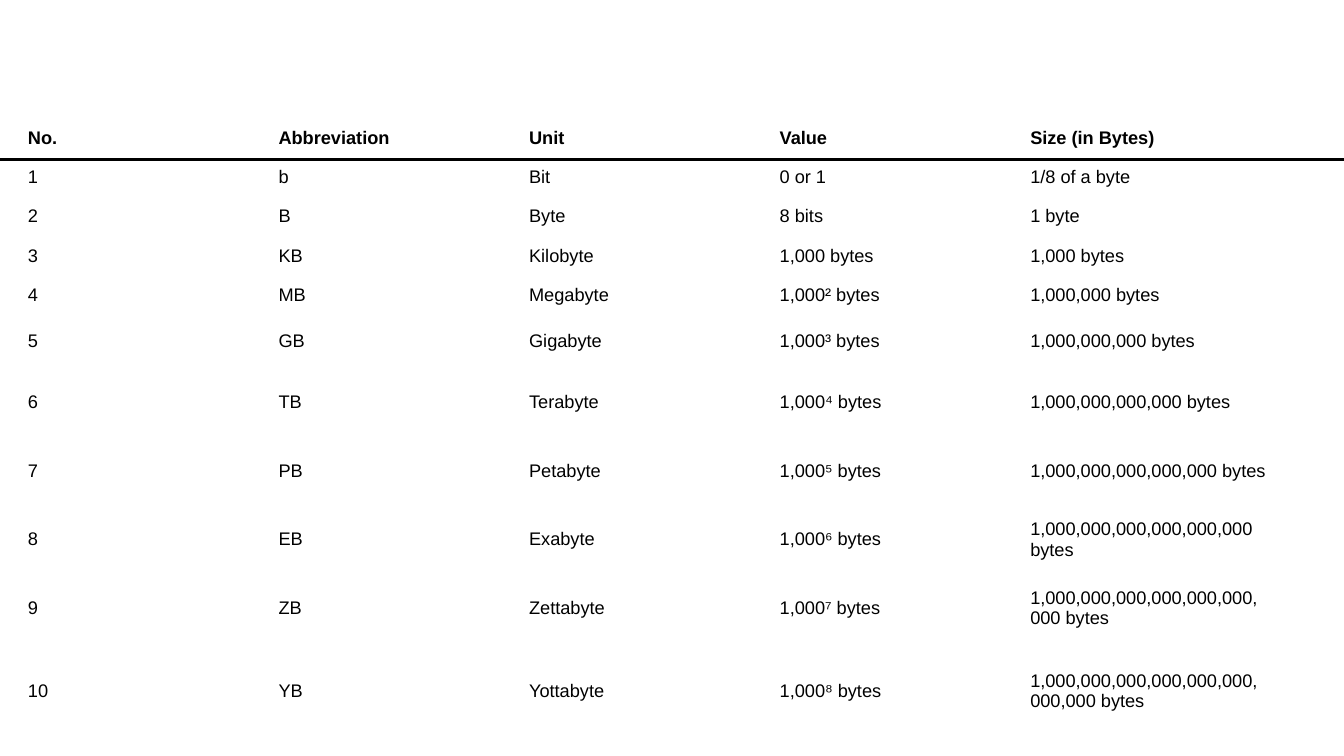
from pptx import Presentation
from pptx.dml.color import RGBColor
from pptx.enum.shapes import MSO_SHAPE
from pptx.enum.text import MSO_ANCHOR
from pptx.util import Pt

BLACK = RGBColor(0, 0, 0)
RECT = MSO_SHAPE.RECTANGLE
MIDDLE = MSO_ANCHOR.MIDDLE

HEAD = ["No.", "Abbreviation", "Unit", "Value", "Size (in Bytes)"]
SMALL = [
    ["1", "b", "Bit", "0 or 1", "1/8 of a byte"],
    ["2", "B", "Byte", "8 bits", "1 byte"],
]
UNITS = ["Kilobyte", "Megabyte", "Gigabyte", "Terabyte",
         "Petabyte", "Exabyte", "Zettabyte", "Yottabyte"]
POWERS = ["", "²", "³", "⁴", "⁵", "⁶", "⁷", "⁸"]
HEIGHTS = [27.9] * 5 + [38] + [49.2] * 4 + [69.5]
WIDTH = 179


def write(frame, text, font="Arial", size=13, color=BLACK, bold=False):
    run = frame.paragraphs[0].add_run()
    run.text = text
    run.font.name = font
    run.font.size = Pt(size)
    run.font.color.rgb = color
    run.font.bold = bold


class Page:
    """Hold the table style and the slide being built."""

    def __init__(self, slide, pad_x=5, pad_y=2.6):
        self.slide = slide
        self.pad_x = Pt(pad_x)
        self.pad_y = Pt(pad_y)

    def table(self, left, top, rows, width, heights):
        count = len(rows[0])
        table = self.slide.shapes.add_table(
            len(rows), count, Pt(left), Pt(top),
            Pt(width * count), Pt(sum(heights))).table
        table.first_row = False
        table.horz_banding = False
        for col in table.columns:
            col.width = Pt(width)
        for i, (row, height) in enumerate(zip(rows, heights)):
            table.rows[i].height = Pt(height)
            for j, text in enumerate(row):
                self.cell(table.cell(i, j), text, bold=i == 0)

    def cell(self, cell, text, **style):
        cell.fill.background()
        cell.vertical_anchor = MIDDLE
        cell.margin_left = cell.margin_right = self.pad_x
        cell.margin_top = cell.margin_bottom = self.pad_y
        write(cell.text_frame, text, **style)

    def bar(self, left, top, width, height, color=BLACK):
        bar = self.slide.shapes.add_shape(
            RECT, Pt(left), Pt(top), Pt(width), Pt(height))
        bar.shadow.inherit = False
        bar.fill.solid()
        bar.fill.fore_color.rgb = color
        bar.line.color.rgb = color
        bar.line.width = Pt(0.75)


def main():
    deck = Presentation()
    deck.slide_width = Pt(960)
    deck.slide_height = Pt(540)
    page = Page(deck.slides.add_slide(deck.slide_layouts[6]))

    large = [
        [str(n + 2), unit[0] + "B", unit, f"1,000{power} bytes",
         "1" + ",000" * n + " bytes"]
        for n, (unit, power) in enumerate(zip(UNITS, POWERS), 1)
    ]
    page.table(15, 85, [HEAD] + SMALL + large, WIDTH, HEIGHTS)
    page.bar(-60, 113.5, 1156, 1.5)
    deck.save("out.pptx")


if __name__ == "__main__":
    main()
